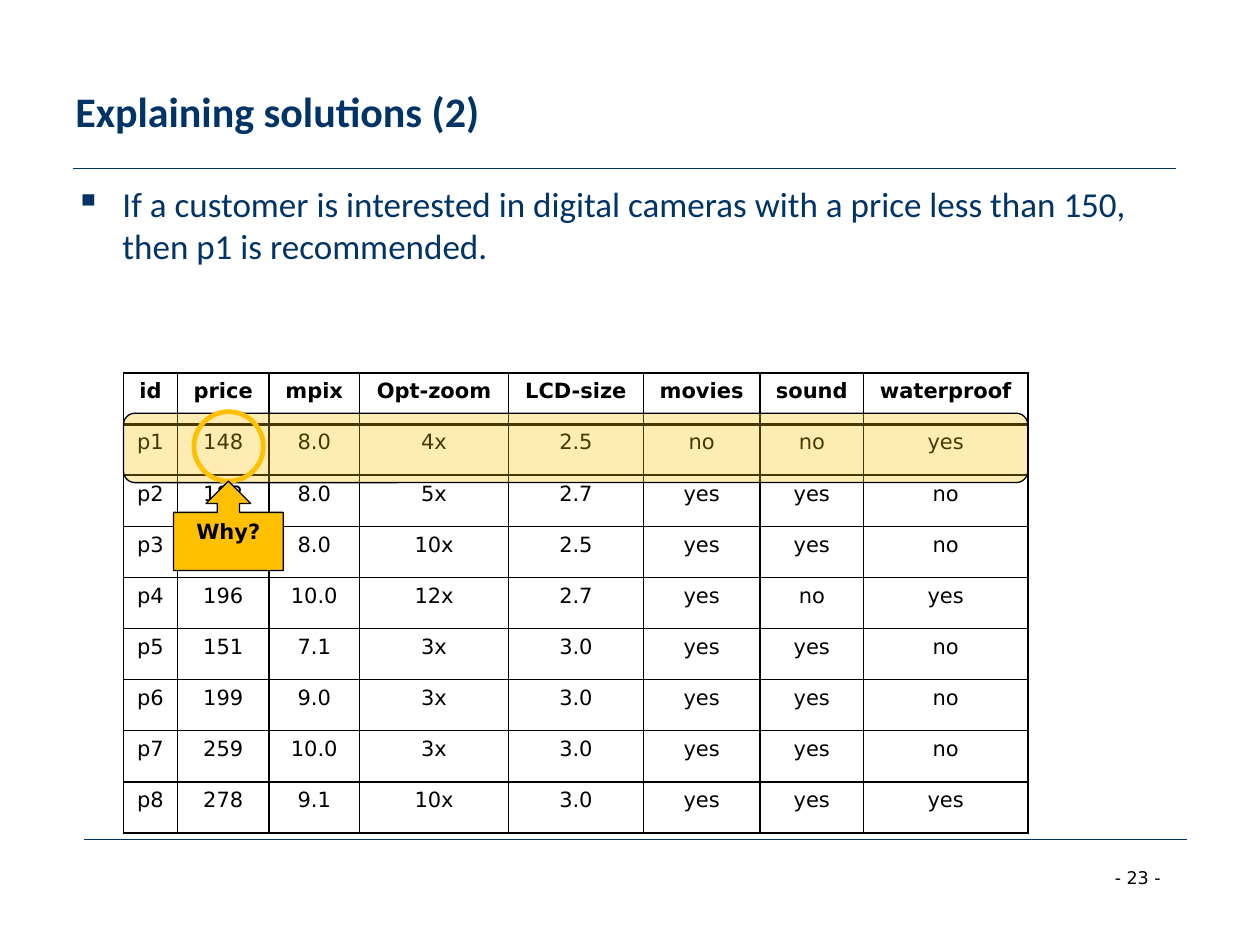
from dataclasses import dataclass

from lxml import etree
from pptx import Presentation
from pptx import util as u
from pptx.dml.color import RGBColor
from pptx.enum import shapes, text
from pptx.oxml.ns import qn


@dataclass(frozen=True)
class Theme:
    navy: str = "003366"
    black: str = "000000"
    white: str = "FFFFFF"
    amber: str = "FFC000"
    heading_font: str = "Calibri"
    label_font: str = "DejaVu Sans"
    title_size: int = 24
    body_size: int = 20
    label_size: int = 12
    footer_size: int = 10
    thin: float = 0.75
    ring: float = 2.75


class SlideBuilder:
    def __init__(self, slide, theme):
        self.slide = slide
        self.theme = theme

    def style(self, paragraph, font, size, color, bold=False, align=None):
        paragraph.alignment = align
        paragraph.font.name = font
        paragraph.font.size = u.Pt(size)
        paragraph.font.bold = bold
        paragraph.font.color.rgb = RGBColor.from_string(color)

    def label(self, paragraph, bold=False):
        theme = self.theme
        self.style(paragraph, theme.label_font, theme.label_size, theme.black,
                   bold, text.PP_ALIGN.CENTER)

    def text_box(self, box, words, font, size, color, bold=False, align=None,
                 anchor=text.MSO_ANCHOR.TOP, bullet=None):
        frame = self.slide.shapes.add_textbox(*map(u.Cm, box)).text_frame
        frame.word_wrap = True
        frame.vertical_anchor = anchor
        paragraph = frame.paragraphs[0]
        paragraph.text = words
        if bullet:
            properties = paragraph._p.get_or_add_pPr()
            indent = u.Cm(0.95)
            properties.set("marL", str(indent))
            properties.set("indent", str(-indent))
            etree.SubElement(properties, qn("a:buChar"), char=bullet)
        self.style(paragraph, font, size, color, bold, align)

    def rule(self, left, top, width):
        line = self.slide.shapes.add_connector(
            shapes.MSO_CONNECTOR.STRAIGHT,
            u.Cm(left), u.Cm(top), u.Cm(left + width), u.Cm(top))
        line.line.color.rgb = RGBColor.from_string(self.theme.navy)
        line.line.width = u.Pt(self.theme.thin)
        etree.SubElement(line._element.spPr, qn("a:effectLst"))

    def shape(self, kind, box, fill, line, width, alpha=None, words=None):
        shape = self.slide.shapes.add_shape(kind, *map(u.Cm, box))
        shape.shadow.inherit = False
        shape.line.color.rgb = RGBColor.from_string(line)
        shape.line.width = u.Pt(width)
        if fill:
            shape.fill.solid()
            shape.fill.fore_color.rgb = RGBColor.from_string(fill)
        else:
            shape.fill.background()
        if alpha:
            color = shape._element.spPr.find(qn("a:solidFill"))[0]
            etree.SubElement(color, qn("a:alpha"), val=str(alpha * 1000))
        if words:
            shape.text_frame.vertical_anchor = text.MSO_ANCHOR.TOP
            paragraph = shape.text_frame.paragraphs[0]
            paragraph.text = words
            self.label(paragraph, bold=True)

    def border(self, cell, side, points):
        line = etree.SubElement(cell._tc.get_or_add_tcPr(), qn(f"a:ln{side}"),
                                w=str(u.Pt(points)))
        fill = etree.SubElement(line, qn("a:solidFill"))
        etree.SubElement(fill, qn("a:srgbClr"), val=self.theme.black)

    def table(self, left, top, widths, row_height, rows):
        table = self.slide.shapes.add_table(
            len(rows), len(widths), u.Cm(left), u.Cm(top),
            u.Cm(sum(widths)), u.Cm(row_height * len(rows))).table
        table.first_row = table.horz_banding = False
        for column, width in zip(table.columns, widths):
            column.width = u.Cm(width)
        for r, values in enumerate(rows):
            table.rows[r].height = u.Cm(row_height)
            for c, value in enumerate(values):
                cell = table.cell(r, c)
                # The header is closed by a double-weight line
                heavy = {0: "B", 1: "T"}.get(r)
                for side in "LRTB":
                    self.border(cell, side, 2 if side == heavy else 1)
                cell.fill.solid()
                cell.fill.fore_color.rgb = RGBColor.from_string(self.theme.white)
                paragraph = cell.text_frame.paragraphs[0]
                paragraph.text = value
                self.label(paragraph, bold=r == 0)


CAMERAS = [
    ["id", "price", "mpix", "Opt-zoom", "LCD-size", "movies", "sound", "waterproof"],
    ["p1", "148", "8.0", "4x", "2.5", "no", "no", "yes"],
    ["p2", "182", "8.0", "5x", "2.7", "yes", "yes", "no"],
    ["p3", "189", "8.0", "10x", "2.5", "yes", "yes", "no"],
    ["p4", "196", "10.0", "12x", "2.7", "yes", "no", "yes"],
    ["p5", "151", "7.1", "3x", "3.0", "yes", "yes", "no"],
    ["p6", "199", "9.0", "3x", "3.0", "yes", "yes", "no"],
    ["p7", "259", "10.0", "3x", "3.0", "yes", "yes", "no"],
    ["p8", "278", "9.1", "10x", "3.0", "yes", "yes", "yes"],
]
COLUMN_WIDTHS = [1.09, 1.84, 1.83, 3.0, 2.72, 2.35, 2.09, 3.31]


def main():
    presentation = Presentation()
    presentation.slide_width, presentation.slide_height = u.Cm(25.4), u.Cm(19.05)
    slide = presentation.slides.add_slide(presentation.slide_layouts[6])
    theme = Theme()
    builder = SlideBuilder(slide, theme)

    # Rules and page number
    builder.rule(1.48, 3.39, 22.22)
    builder.rule(1.7, 16.93, 22.22)
    builder.text_box((21.97, 17.35, 1.93, 0.69), "- 23 -", theme.label_font,
                     theme.footer_size, theme.black, align=text.PP_ALIGN.CENTER)

    # Title and statement
    builder.text_box((1.27, 0.64, 22.86, 3.18), "Explaining solutions (2)",
                     theme.heading_font, theme.title_size, theme.navy, bold=True,
                     anchor=text.MSO_ANCHOR.MIDDLE)
    builder.text_box((1.27, 3.56, 22.86, 12.57),
                     "If a customer is interested in digital cameras with a price "
                     "less than 150, then p1 is recommended.",
                     theme.heading_font, theme.body_size, theme.navy, bullet="▪")

    # Camera table
    table_left = 2.49
    builder.table(table_left, 7.52, COLUMN_WIDTHS, 1.03, CAMERAS)

    # Highlighted row, circled price and question
    kinds = shapes.MSO_SHAPE
    builder.shape(kinds.ROUNDED_RECTANGLE,
                  (table_left, 8.33, sum(COLUMN_WIDTHS), 1.4),
                  theme.amber, theme.black, theme.thin, alpha=29)
    builder.shape(kinds.OVAL, (3.91, 8.3, 1.4, 1.4), None, theme.amber, theme.ring)
    builder.shape(kinds.UP_ARROW_CALLOUT, (3.5, 9.7, 2.21, 1.8),
                  theme.amber, theme.black, theme.thin, words="Why?")

    presentation.save("out.pptx")


if __name__ == "__main__":
    main()
